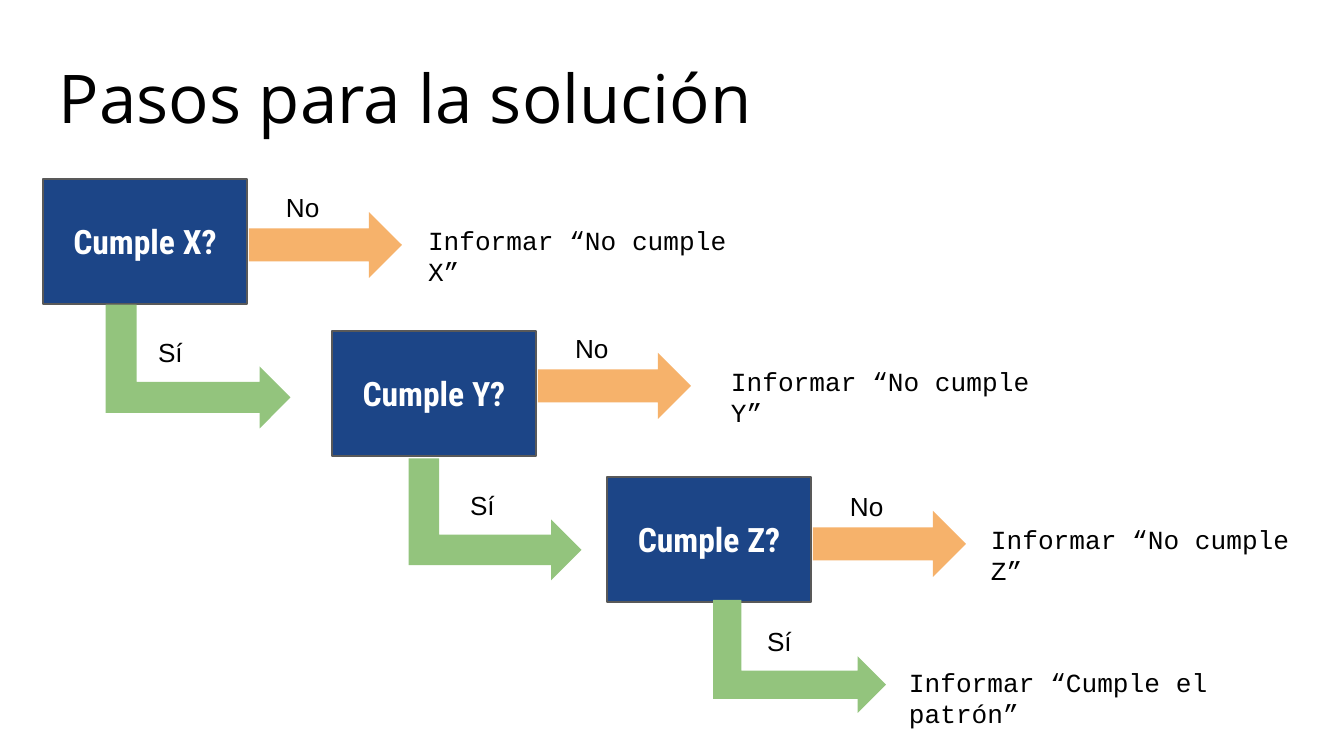
from pptx import Presentation
from pptx.dml.color import RGBColor
from pptx.enum.shapes import MSO_SHAPE
from pptx.enum.text import MSO_ANCHOR, MSO_AUTO_SIZE, PP_ALIGN
from pptx.util import Emu, Pt

TITLE = "Pasos para la solución"
# Box corner, top of the No arrow, note (left, width), bent arrow, Sí label
STEPS = [
    dict(name="X", box=(43, 179), no=212, note=(415, 355),
         bend=(136, 274, 124, 185), yes=(145, 323)),
    dict(name="Y", box=(332, 331), no=353, note=(718, 355),
         bend=(434, 433, 122, 173), yes=(457, 476)),
    dict(name="Z", box=(607, 477), no=511, note=(978, 343),
         bend=(743, 570, 113, 173), yes=(754, 612)),
]
LAST = ("Informar “Cumple el patrón”", (896, 653, 422, 66))

BLUE, GRAY, GREEN, ORANGE = "1C4587", "595959", "93C47D", "F6B26B"
BLACK, WHITE = "000000", "FFFFFF"
SANS, MONO = "Arial", "Courier New"
BOX = (204, 125)
ARROW = (153, 66)
LABEL = (77, 66)
PAD = 13
SCALE = 914400 / 134.4


def px(num):
    """Turn pixels into EMU."""
    return Emu(round(num * SCALE))


def paint(part, color):
    """Give a fill or font color a hex value."""
    part.rgb = RGBColor.from_string(color)


def write(shape, text, font, size, color=BLACK, bold=False,
          align=PP_ALIGN.LEFT, anchor=MSO_ANCHOR.TOP):
    """Put one formatted paragraph in a shape."""
    frame = shape.text_frame
    frame.text = text
    frame.word_wrap = True
    frame.auto_size = MSO_AUTO_SIZE.NONE
    frame.vertical_anchor = anchor
    frame.margin_left = frame.margin_right = px(PAD)
    frame.margin_top = frame.margin_bottom = px(PAD)
    para = frame.paragraphs[0]
    para.alignment = align
    para.font.name, para.font.size, para.font.bold = font, Pt(size), bold
    paint(para.font.color, color)


def label(text, area, font=SANS):
    """Add a text box."""
    write(slide.shapes.add_textbox(*map(px, area)), text, font, 14)


def block(kind, area, fill, line=None):
    """Add a flat preset shape."""
    shape = slide.shapes.add_shape(kind, *map(px, area))
    shape.shadow.inherit = False
    shape.fill.solid()
    paint(shape.fill.fore_color, fill)
    if line:
        paint(shape.line.color, line)
        shape.line.width = Pt(0.75)
    else:
        shape.line.fill.background()
    return shape


def step(name, box, no, note, bend, yes):
    """Draw a question with its No and Sí branches."""
    ask = block(MSO_SHAPE.RECTANGLE, (*box, *BOX), BLUE, GRAY)
    write(ask, f"Cumple {name}?", "Roboto Condensed", 18, WHITE, True,
          PP_ALIGN.CENTER, MSO_ANCHOR.MIDDLE)
    left = box[0] + BOX[0] + 2
    block(MSO_SHAPE.RIGHT_ARROW, (left, no, *ARROW), ORANGE)
    label("No", (left + 24, no - 34, *LABEL))
    label(f"Informar “No cumple {name}”",
          (note[0], no - 1, note[1], LABEL[1]), MONO)
    turn = block(MSO_SHAPE.BENT_UP_ARROW, bend, GREEN)
    turn.rotation = 90
    label("Sí", (*yes, *LABEL))


deck = Presentation()
deck.slide_width, deck.slide_height = px(1344), px(756)
slide = deck.slides.add_slide(deck.slide_layouts[5])
title = slide.shapes.title
title.left, title.top, title.width, title.height = map(px, (46, 43, 1252, 85))
write(title, TITLE, "Open Sans", 36)
for item in STEPS:
    step(**item)
label(*LAST, MONO)
deck.save("out.pptx")
